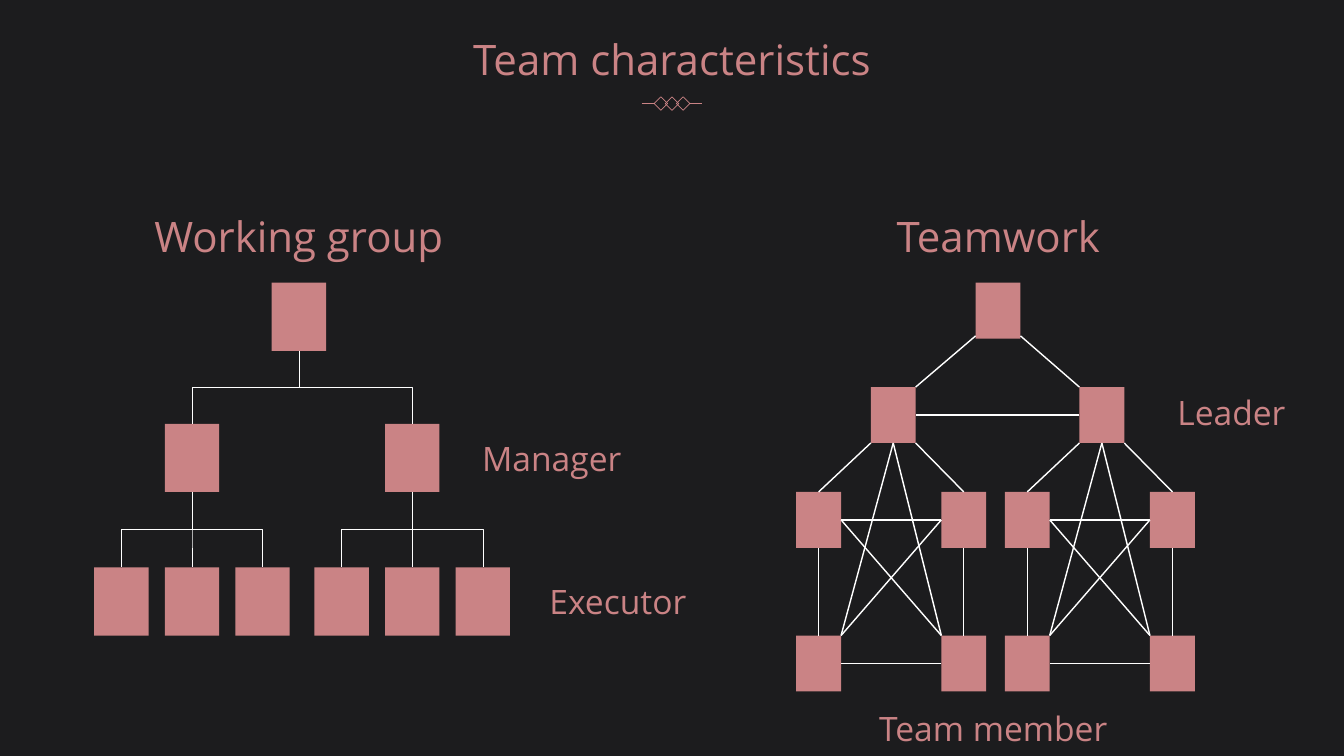
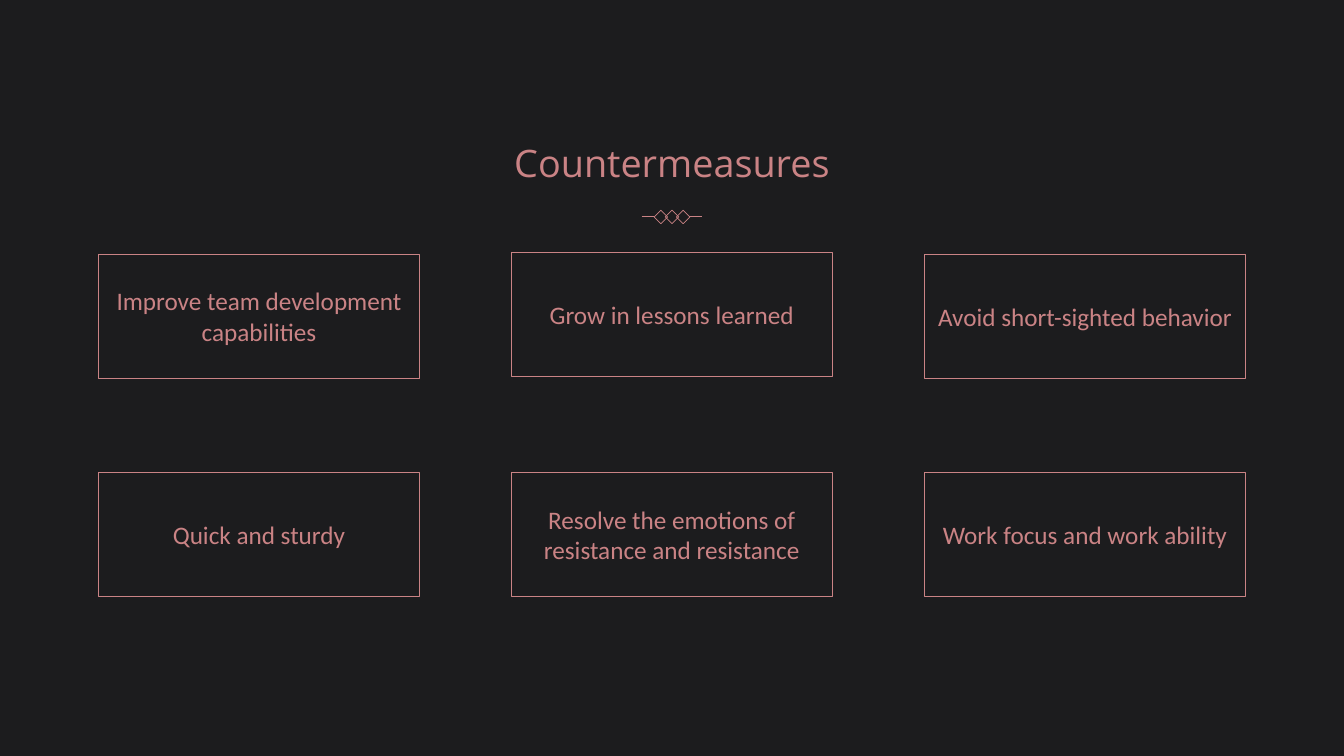
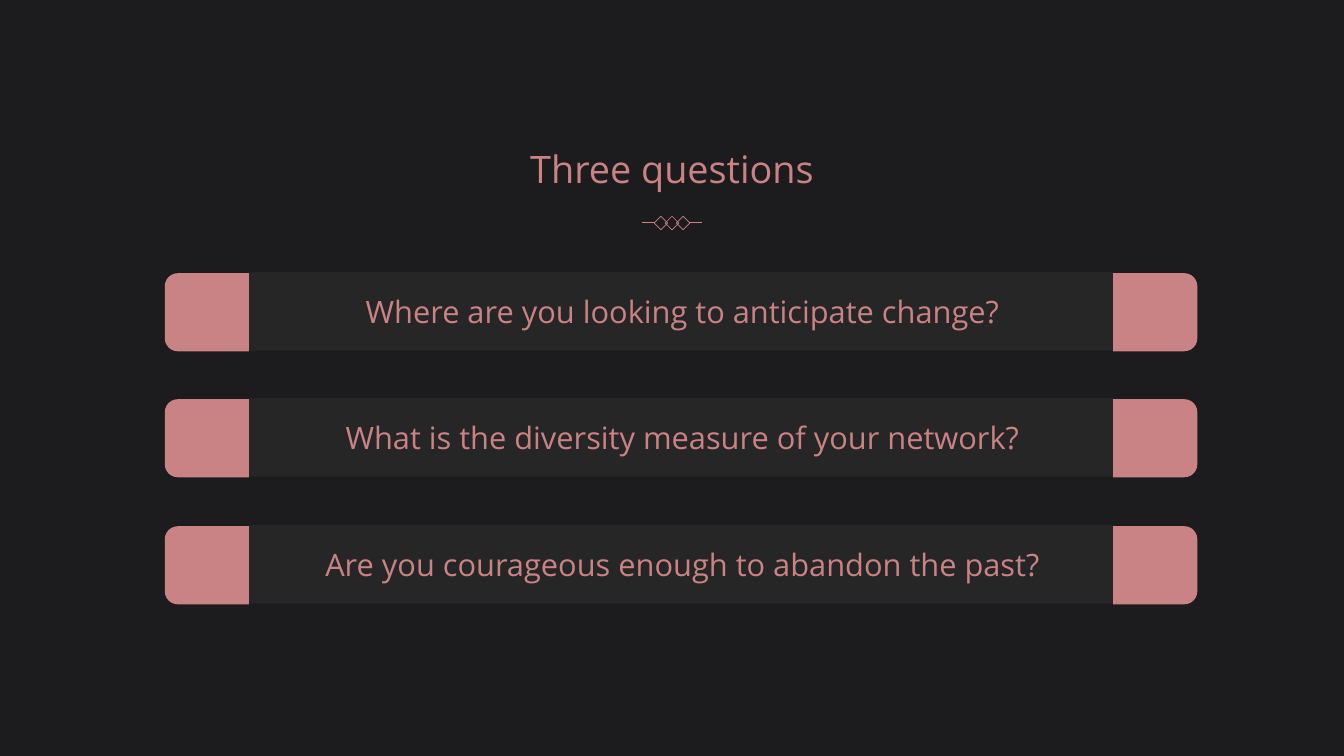
"""Build three dark slides on team structure, countermeasures and questions."""
import pptx
import pptx.dml.color
import pptx.enum.shapes
import pptx.enum.text
import pptx.oxml
import pptx.util

Inches, Pt = pptx.util.Inches, pptx.util.Pt
SHAPE = pptx.enum.shapes.MSO_SHAPE
CONNECTOR = pptx.enum.shapes.MSO_CONNECTOR

WIDTH, HEIGHT = 26.67, 15
DARK, BAND, ROSE, WHITE = "1C1C1E", "262626", "CA8385", "FFFFFF"
HEAD_FONT, BODY_FONT = "Open Sans", "Calibri"

TITLES = [
    {"text": "Team characteristics", "top": 0.6, "width": 9.23, "height": 1.11, "size": 60, "ornament": 2.05},
    {"text": "Countermeasures", "top": 2.71, "width": 7.18, "height": 1.01, "size": 54, "ornament": 4.3},
    {"text": "Three questions", "top": 2.84, "width": 6.48, "height": 1.01, "size": 54, "ornament": 4.42},
]

LABELS = [
    ("Working group", 2.61, 4.13, 6.64, 1.11, 60),
    ("Teamwork", 17.42, 4.13, 4.78, 1.11, 60),
    ("Manager", 9.31, 8.63, 3.28, 0.91, 48),
    ("Executor", 10.62, 11.48, 3.28, 0.91, 48),
    ("Team member", 17.15, 14, 5.12, 0.91, 48),
    ("Leader", 23.14, 7.72, 2.59, 0.91, 48),
]

GROUP_BOX = (1.08, 1.35)
DIRECTOR = (5.39, 5.61)
MANAGER_LEFTS, MANAGER_TOP = (3.27, 7.64), 8.41
EXECUTOR_OFFSETS, EXECUTOR_TOP = (-1.4, 0, 1.4), 11.26

TEAM_BOX = (0.89, 1.11)
TEAM_HEAD = (19.36, 5.61)
LEADER_LEFTS, LEADER_TOP = (17.28, 21.42), 7.68
MEMBERS = {"a": (-1.48, 9.76), "b": (1.4, 9.76), "c": (-1.48, 12.61), "d": (1.4, 12.61)}
MEMBER_LINKS = [
    ("leader", (0, 1), "a", (0.5, 0)),
    ("b", (0.5, 0), "leader", (1, 1)),
    ("c", (0.5, 0), "a", (0.5, 1)),
    ("d", (0.5, 0), "b", (0.5, 1)),
    ("d", (0, 0.5), "c", (1, 0.5)),
    ("b", (0, 0.5), "a", (1, 0.5)),
    ("d", (0, 0), "leader", (0.5, 1)),
    ("c", (1, 0), "leader", (0.5, 1)),
    ("d", (0, 0), "a", (1, 0.5)),
    ("c", (1, 0), "b", (0, 0.5)),
]
SITES = {(0.5, 0): 0, (0, 0.5): 1, (0.5, 1): 2, (1, 0.5): 3}

MEASURE_BOX = (6.36, 2.46)
MEASURES = [
    ("Improve team development capabilities", 1.96, 5.04),
    ("Grow in lessons learned", 10.15, 5.01),
    ("Avoid short-sighted behavior", 18.35, 5.04),
    ("Quick and sturdy", 1.96, 9.37),
    ("Resolve the emotions of resistance and resistance", 10.15, 9.37),
    ("Work focus and work ability", 18.35, 9.37),
]

QUESTIONS = [
    ("Where are you looking to anticipate change?", 5.4, 14.41),
    ("What is the diversity measure of your network?", 7.9, 15.43),
    ("Are you courageous enough to abandon the past?", 10.42, 16.24),
]
QUESTION_CENTRE = 13.55
CAPS = [(3.33, 270), (22.15, 90)]


def rgb(value):
    return pptx.dml.color.RGBColor.from_string(value)


def write(sp, text, size, font=HEAD_FONT, wrap=False):
    tf = sp.text_frame
    tf.word_wrap = wrap
    tf.auto_size = pptx.enum.text.MSO_AUTO_SIZE.NONE
    tf.vertical_anchor = pptx.enum.text.MSO_ANCHOR.MIDDLE
    if not wrap:
        tf.margin_left = tf.margin_right = tf.margin_top = tf.margin_bottom = 0
    p = tf.paragraphs[0]
    p.alignment = pptx.enum.text.PP_ALIGN.CENTER
    r = p.add_run()
    r.text = text
    r.font.name, r.font.size = font, Pt(size)
    r.font.color.rgb = rgb(ROSE)


def label(s, text, left, top, width, height, size):
    write(s.shapes.add_textbox(*map(Inches, (left, top, width, height))), text, size)


def box(shapes, left, top, size, fill=None, kind=SHAPE.RECTANGLE, rotation=0):
    sp = shapes.add_shape(kind, *map(Inches, (left, top, *size)))
    sp.shadow.inherit = False
    sp.rotation = rotation
    if fill:
        sp.fill.solid()
        sp.fill.fore_color.rgb = rgb(fill)
        sp.line.fill.background()
    else:
        sp.fill.background()
        sp.line.color.rgb = rgb(ROSE)
        sp.line.width = Pt(1)
    return sp


def connector(shapes, kind, begin, end, color, width):
    cx = shapes.add_connector(kind, *begin, *end)
    cx.line.color.rgb = rgb(color)
    cx.line.width = Pt(width)
    pptx.oxml.ns.qn("a:effectLst")
    cx._element.spPr.append(pptx.oxml.xmlchemy.OxmlElement("a:effectLst"))
    return cx


def anchor(sp, spot):
    return int(sp.left + sp.width * spot[0]), int(sp.top + sp.height * spot[1])


def link(s, first, spot1, second, spot2):
    cx = connector(s.shapes, CONNECTOR.STRAIGHT, anchor(first, spot1), anchor(second, spot2), WHITE, 2)
    if spot1 in SITES:
        cx.begin_connect(first, SITES[spot1])
    if spot2 in SITES:
        cx.end_connect(second, SITES[spot2])


def branch(s, parent, child):
    (x1, y1), (x2, y2) = begin, end = anchor(parent, (0.5, 1)), anchor(child, (0.5, 0))
    cx = connector(s.shapes, CONNECTOR.ELBOW, begin, end, WHITE, 0.5)
    cx.begin_connect(parent, 2)
    cx.end_connect(child, 0)
    drop, run = y2 - y1, abs(x2 - x1)
    cx.left, cx.top = (x1 + x2 - drop) // 2, (y1 + y2 - run) // 2
    cx.width, cx.height = drop, run
    xfrm = cx._element.spPr.find(pptx.oxml.ns.qn("a:xfrm"))
    xfrm.set("rot", str((270 if x2 > x1 else 90) * 60000))
    xfrm.set("flipH", "1" if x2 > x1 else "0")


def ornament(s, middle):
    shapes = s.shapes.add_group_shape().shapes
    for i in range(3):
        box(shapes, 13.02 + 0.22 * i, middle - 0.09, (0.19, 0.19), rotation=45)
    for left in (13.68, 12.73):
        begin, end = (Inches(left), Inches(middle)), (Inches(left + 0.25), Inches(middle))
        connector(shapes, CONNECTOR.STRAIGHT, begin, end, ROSE, 1)


def titled_slide(prs, title):
    s = prs.slides.add_slide(prs.slide_layouts[5])
    sp = s.shapes.title
    sp.left, sp.top = Inches((WIDTH - title["width"]) / 2), Inches(title["top"])
    sp.width, sp.height = Inches(title["width"]), Inches(title["height"])
    write(sp, title["text"], title["size"])
    ornament(s, title["ornament"])
    return s


def draw_working_group(s):
    director = box(s.shapes, *DIRECTOR, GROUP_BOX, ROSE)
    for left in MANAGER_LEFTS:
        manager = box(s.shapes, left, MANAGER_TOP, GROUP_BOX, ROSE)
        branch(s, director, manager)
        for offset in EXECUTOR_OFFSETS:
            branch(s, manager, box(s.shapes, left + offset, EXECUTOR_TOP, GROUP_BOX, ROSE))


def draw_teamwork(s):
    head = box(s.shapes, *TEAM_HEAD, TEAM_BOX, ROSE)
    leaders = []
    for left in LEADER_LEFTS:
        team = {"leader": box(s.shapes, left, LEADER_TOP, TEAM_BOX, ROSE)}
        for name, (offset, top) in MEMBERS.items():
            team[name] = box(s.shapes, left + offset, top, TEAM_BOX, ROSE)
        for first, spot1, second, spot2 in MEMBER_LINKS:
            link(s, team[first], spot1, team[second], spot2)
        leaders.append(team["leader"])
    link(s, head, (0, 0.95), leaders[0], (1, 0))
    link(s, leaders[1], (0, 0.5), leaders[0], (1, 0.5))
    link(s, leaders[1], (0, 0), head, (1, 0.95))


def draw_measures(s):
    for text, left, top in MEASURES:
        write(box(s.shapes, left, top, MEASURE_BOX), text, 36, BODY_FONT, wrap=True)


def draw_questions(s):
    for text, top, width in QUESTIONS:
        box(s.shapes, 4.94, top, (17.16, 1.56), BAND)
        for left, rotation in CAPS:
            box(s.shapes, left, top - 0.04, (1.55, 1.67), ROSE, SHAPE.ROUND_2_SAME_RECTANGLE, rotation)
        label(s, text, QUESTION_CENTRE - width / 2, top + 0.36, width, 0.84, 44)


def main():
    prs = pptx.Presentation()
    prs.slide_width, prs.slide_height = Inches(WIDTH), Inches(HEIGHT)
    background = prs.slide_master.background.fill
    background.solid()
    background.fore_color.rgb = rgb(DARK)
    structure, measures, questions = [titled_slide(prs, title) for title in TITLES]
    draw_working_group(structure)
    draw_teamwork(structure)
    for item in LABELS:
        label(structure, *item)
    draw_measures(measures)
    draw_questions(questions)
    prs.save("out.pptx")


if __name__ == "__main__":
    main()
